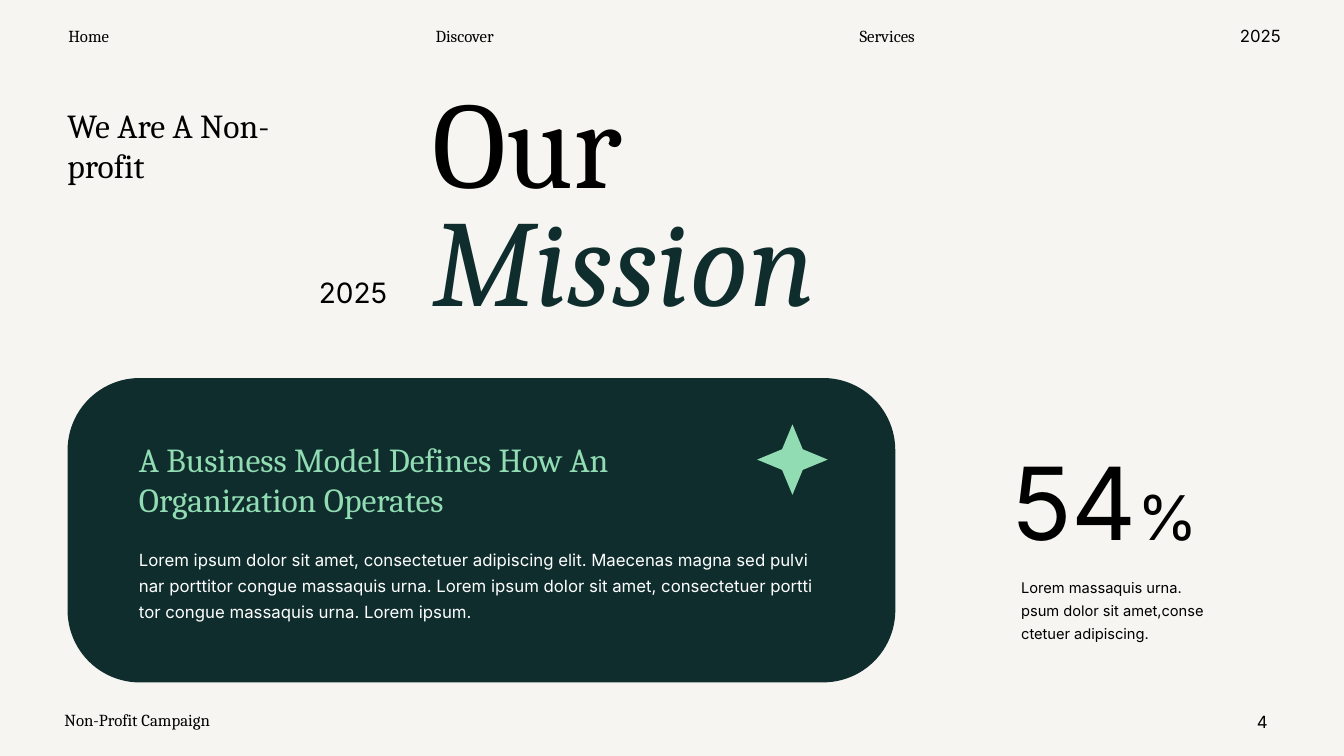
from dataclasses import dataclass

import pptx
import pptx.dml.color
import pptx.enum.shapes
import pptx.enum.text
import pptx.util
from pptx.util import Inches

ALIGN = pptx.enum.text.PP_ALIGN
SHAPE = pptx.enum.shapes.MSO_SHAPE


@dataclass(frozen=True)
class Theme:
    paper: str = "F6F5F1"
    ink: str = "000000"
    dark: str = "0F2D2D"
    mint: str = "91DCB3"
    white: str = "FFFFFF"
    serif: str = "Cambria"
    sans: str = "Inter"
    title: float = 88
    figure: float = 72
    unit: float = 44
    heading: float = 24
    year: float = 20
    body: float = 12
    caption: float = 10.5


T = Theme()


def rgb(value):
    return pptx.dml.color.RGBColor.from_string(value)


def add_text(s, lines, left, top, width, height, font=T.sans, size=T.body,
             color=T.ink, align=ALIGN.LEFT, spacing=None, wrap=True):
    """Each line is a string or a list of (text, font overrides) runs."""
    sp = s.shapes.add_textbox(Inches(left), Inches(top), Inches(width), Inches(height))
    tf = sp.text_frame
    tf.word_wrap = wrap
    tf.auto_size = pptx.enum.text.MSO_AUTO_SIZE.SHAPE_TO_FIT_TEXT
    for i, line in enumerate(lines):
        p = tf.add_paragraph() if i else tf.paragraphs[0]
        p.alignment = align
        if spacing:
            p.line_spacing = spacing
        for text, style in [(line, {})] if isinstance(line, str) else line:
            r = p.add_run()
            r.text = text
            r.font.name = font
            r.font.size = pptx.util.Pt(style.get("size", size))
            r.font.color.rgb = rgb(style.get("color", color))
            r.font.italic = style.get("italic")


def add_shape(s, kind, left, top, width, height, fill, adjustment):
    sp = s.shapes.add_shape(kind, Inches(left), Inches(top), Inches(width), Inches(height))
    sp.adjustments[0] = adjustment
    sp.shadow.inherit = False
    sp.fill.solid()
    sp.fill.fore_color.rgb = rgb(fill)
    sp.line.fill.background()


def add_navigation(s):
    for label, left, width, font in [
        ("Home", 0.54, 0.68, T.serif),
        ("Discover", 4.16, 0.9, T.serif),
        ("Services", 8.37, 0.86, T.serif),
        ("2025", 12.19, 0.62, T.sans),
    ]:
        add_text(s, [label], left, 0.21, width, 0.3, font=font,
                 align=ALIGN.CENTER, wrap=False)


def add_footer(s):
    add_text(s, ["Non-Profit Campaign"], 0.54, 6.99, 2.89, 0.3, font=T.serif)
    add_text(s, ["4"], 11.99, 7.01, 0.68, 0.3, align=ALIGN.RIGHT)


def add_headline(s):
    title = [("Our ", {}), ("Mission", {"color": T.dark, "italic": True})]
    add_text(s, [title], 4.19, 0.88, 4.29, 2.47, font=T.serif, size=T.title, spacing=0.8)
    add_text(s, ["We Are A Non-profit"], 0.57, 0.99, 2.27, 0.91,
             font=T.serif, size=T.heading)
    add_text(s, ["2025"], 2.96, 2.68, 0.98, 0.44, size=T.year, align=ALIGN.RIGHT)


def add_mission_card(s):
    add_shape(s, SHAPE.ROUNDED_RECTANGLE, 0.67, 3.75, 8.21, 3.02, T.dark, 0.237)
    add_text(s, ["A Business Model Defines How An Organization Operates"],
             1.28, 4.3, 5.56, 0.91, font=T.serif, size=T.heading, color=T.mint)
    add_text(s, [
        "Lorem ipsum dolor sit amet, consectetuer adipiscing elit. Maecenas magna sed pulvi",
        "nar porttitor congue massaquis urna. Lorem ipsum dolor sit amet, consectetuer portti",
        "tor congue massaquis urna. Lorem ipsum.",
    ], 1.28, 5.34, 7.23, 0.86, color=T.white, spacing=1.3)
    add_shape(s, SHAPE.STAR_4_POINT, 7.51, 4.21, 0.7, 0.7, T.mint, 0.207)


def add_statistic(s):
    add_text(s, [[("54", {}), ("%", {"size": T.unit})]], 9.94, 4.45, 2.26, 1.19,
             size=T.figure, spacing=0.9)
    add_text(s, [
        "Lorem massaquis urna.",
        "psum dolor sit amet,conse",
        "ctetuer adipiscing.",
    ], 10.03, 5.64, 2.09, 0.77, size=T.caption, spacing=1.3)


def main():
    prs = pptx.Presentation()
    prs.slide_width, prs.slide_height = Inches(13.33), Inches(7.5)
    s = prs.slides.add_slide(prs.slide_layouts[6])
    s.background.fill.solid()
    s.background.fill.fore_color.rgb = rgb(T.paper)
    add_navigation(s)
    add_footer(s)
    add_headline(s)
    add_mission_card(s)
    add_statistic(s)
    prs.save("out.pptx")


if __name__ == "__main__":
    main()
